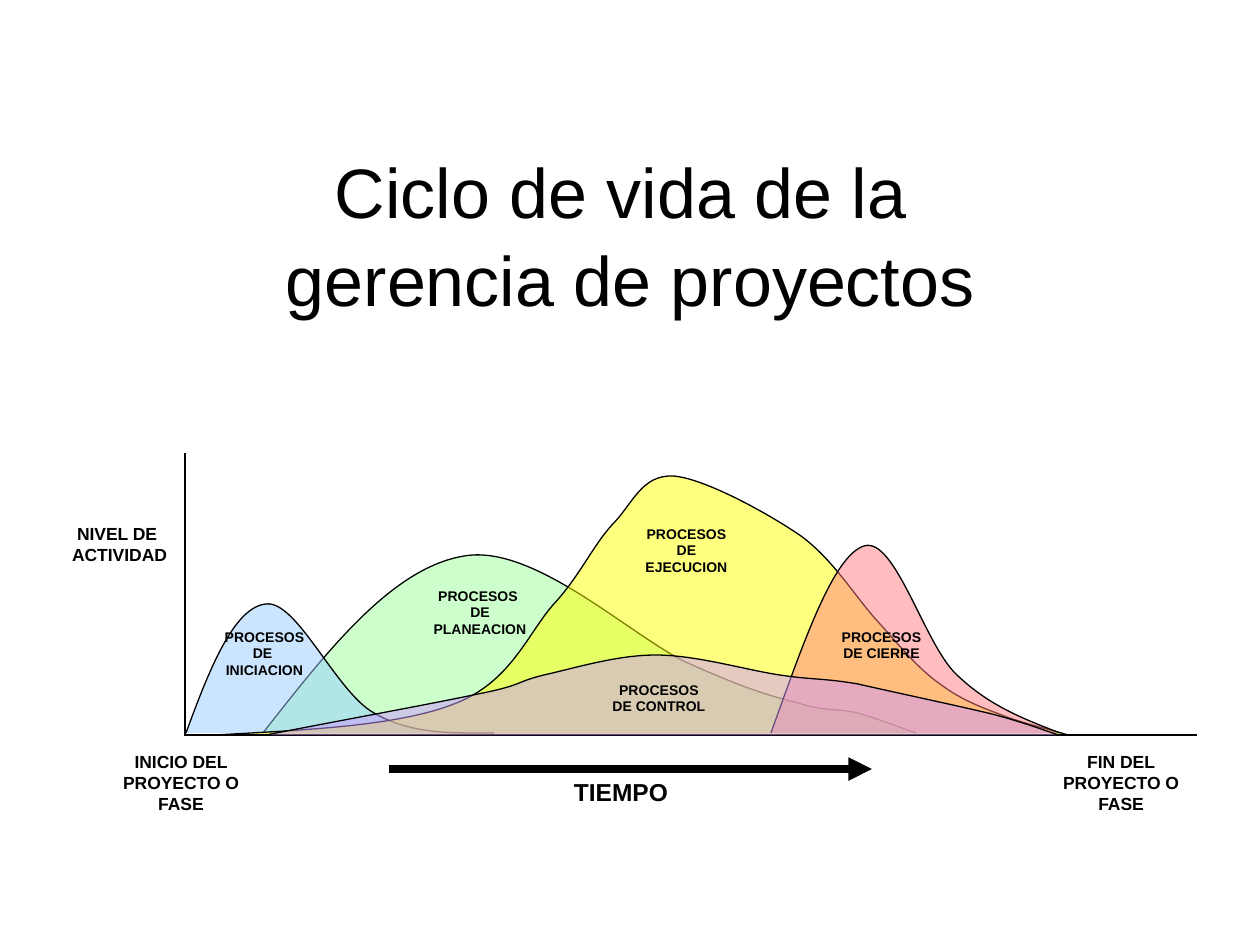
"""Build a slide on the project management life cycle."""
from dataclasses import dataclass

from lxml import etree
from pptx import Presentation
from pptx.dml.color import RGBColor
from pptx.enum.shapes import MSO_CONNECTOR
from pptx.enum.text import MSO_ANCHOR, MSO_AUTO_SIZE, PP_ALIGN
from pptx.oxml.ns import qn
from pptx.util import Pt

STRAIGHT = MSO_CONNECTOR.STRAIGHT
CENTER = PP_ALIGN.CENTER
MIDDLE = MSO_ANCHOR.MIDDLE
FIT_SHAPE = MSO_AUTO_SIZE.SHAPE_TO_FIT_TEXT
EMU_PER_PX = 914400 / 126


@dataclass(frozen=True)
class Theme:
    """Hold the font, type sizes, line weights and colours."""
    font: str = "Arial"
    title: int = 40
    time: int = 14
    axis: int = 10
    process: int = 8
    title_spacing: float = 1.05
    thin: float = 0.75
    thick: float = 4.5
    ink: str = "000000"
    planning: str = "CCFFCC"
    initiation: str = "99CCFF"
    execution: str = "FFFF00"
    closing: str = "FF7C80"
    control: str = "CC99FF"
    translucent: int = 50


THEME = Theme()

PLANNING = [
    (263, 733), (328, 650), (393, 567), (465, 556), (536, 544), (635, 640), (690, 664),
    (746, 689), (770, 696), (798, 703), (825, 712), (837, 708), (857, 713),
    (876, 718), (901, 728), (916, 733)]
INITIATION = [
    (186, 733), (209, 670), (234, 607), (266, 604), (297, 600), (336, 692), (374, 713),
    (412, 735), (454, 733), (494, 733)]
EXECUTION = [
    (215, 735), (307, 730), (398, 726), (454, 704), (510, 683), (527, 635), (553, 605),
    (580, 576), (592, 547), (612, 525), (633, 504), (641, 475), (673, 476),
    (703, 478), (766, 512), (801, 536), (835, 561), (857, 600), (881, 625),
    (903, 650), (920, 670), (940, 684), (960, 699), (978, 706), (999, 714),
    (1021, 723), (1045, 728), (1068, 735)]
CLOSING = [
    (771, 733), (803, 644), (833, 556), (864, 546), (895, 536), (924, 643), (956, 674),
    (989, 706), (1024, 719), (1060, 733)]
CONTROL = [
    (266, 735), (348, 719), (431, 704), (478, 694), (524, 685), (515, 682), (544, 675),
    (575, 668), (617, 655), (656, 655), (696, 655), (746, 670), (780, 675),
    (813, 680), (823, 678), (858, 684), (893, 692), (959, 706), (992, 714),
    (1026, 723), (1046, 731), (1059, 735)]

LABELS = [
    ((421, 581, 118, 63), THEME.process, ["PROCESOS ", "DE", "PLANEACION"]),
    ((212, 622, 105, 63), THEME.process, ["PROCESOS", "DE ", "INICIACION"]),
    ((59, 517, 121, 54), THEME.axis, ["NIVEL DE ", "ACTIVIDAD"]),
    ((110, 745, 142, 76), THEME.axis, ["INICIO DEL", "PROYECTO O", "FASE"]),
    ((1050, 745, 142, 76), THEME.axis, ["FIN DEL", "PROYECTO O", "FASE"]),
    ((633, 519, 107, 63), THEME.process, ["PROCESOS", "DE", "EJECUCION"]),
    ((829, 622, 105, 47), THEME.process, ["PROCESOS", "DE CIERRE"]),
    ((561, 771, 120, 42), THEME.time, ["TIEMPO"]),
]
CONTROL_LABEL = ((600, 675, 118, 47), THEME.process, ["PROCESOS", "DE CONTROL"])


def px(length):
    """Turn pixels into EMU."""
    return round(length * EMU_PER_PX)


def add_run(paragraph, text, size, bold=False):
    """Add one styled run."""
    run = paragraph.add_run()
    run.text = text
    run.font.name = THEME.font
    run.font.size = Pt(size)
    run.font.bold = bold
    run.font.color.rgb = RGBColor.from_string(THEME.ink)


def add_title(slide, box, lines):
    """Add the centred title with line breaks between its lines."""
    frame = slide.shapes.add_textbox(*map(px, box)).text_frame
    frame.word_wrap = True
    frame.vertical_anchor = MIDDLE
    paragraph = frame.paragraphs[0]
    paragraph.alignment = CENTER
    paragraph.line_spacing = THEME.title_spacing
    for index, line in enumerate(lines):
        if index:
            paragraph.add_line_break()
        add_run(paragraph, line, THEME.title)


def add_label(slide, box, size, lines):
    """Add a bold centred label with one paragraph per line."""
    frame = slide.shapes.add_textbox(*map(px, box)).text_frame
    frame.word_wrap = False
    frame.auto_size = FIT_SHAPE
    for index, line in enumerate(lines):
        paragraph = frame.add_paragraph() if index else frame.paragraphs[0]
        paragraph.alignment = CENTER
        add_run(paragraph, line, size, bold=True)


def style_line(line, weight):
    """Give a line its ink and weight."""
    line.color.rgb = RGBColor.from_string(THEME.ink)
    line.width = Pt(weight)


def add_curve(slide, points, color, opacity=100):
    """Add an open filled outline, each three points after the start being one Bézier."""
    builder = slide.shapes.build_freeform(*points[0], scale=EMU_PER_PX)
    builder.add_line_segments(points[1:], close=False)
    curve = builder.convert_to_shape()
    curve.shadow.inherit = False
    curve.fill.solid()
    curve.fill.fore_color.rgb = RGBColor.from_string(color)
    style_line(curve.line, THEME.thin)
    outline = next(curve.element.iter(qn("a:path")))
    segments = outline.findall(qn("a:lnTo"))
    for start in range(0, len(segments), 3):
        bezier = etree.SubElement(outline, qn("a:cubicBezTo"))
        for segment in segments[start:start + 3]:
            bezier.append(segment[0])
            outline.remove(segment)
    if opacity < 100:
        tint = next(curve.element.spPr.find(qn("a:solidFill")).iter(qn("a:srgbClr")))
        etree.SubElement(tint, qn("a:alpha"), val=str(opacity * 1000))


def add_line(slide, start, end, weight, arrow=False):
    """Add a straight line, with an arrowhead at its end if asked."""
    line = slide.shapes.add_connector(STRAIGHT, *map(px, start + end))
    style_line(line.line, weight)
    if arrow:
        etree.SubElement(line.line._get_or_add_ln(), qn("a:tailEnd"), type="triangle")
    etree.SubElement(line.element.spPr, qn("a:effectLst"))


def main():
    """Build and save the slide."""
    deck = Presentation()
    deck.slide_width, deck.slide_height = px(1260), px(945)
    slide = deck.slides.add_slide(deck.slide_layouts[6])

    add_title(slide, (63, 154, 1134, 157), ["Ciclo de vida de la ", "gerencia de proyectos"])
    add_curve(slide, PLANNING, THEME.planning)
    add_curve(slide, INITIATION, THEME.initiation, THEME.translucent)
    add_curve(slide, EXECUTION, THEME.execution, THEME.translucent)
    add_curve(slide, CLOSING, THEME.closing, THEME.translucent)
    for label in LABELS:
        add_label(slide, *label)
    add_line(slide, (185, 735), (1197, 735), THEME.thin)
    add_line(slide, (389, 769), (872, 769), THEME.thick, arrow=True)
    add_line(slide, (185, 736), (185, 453), THEME.thin)
    add_curve(slide, CONTROL, THEME.control, THEME.translucent)
    add_label(slide, *CONTROL_LABEL)

    deck.save("out.pptx")


if __name__ == "__main__":
    main()
